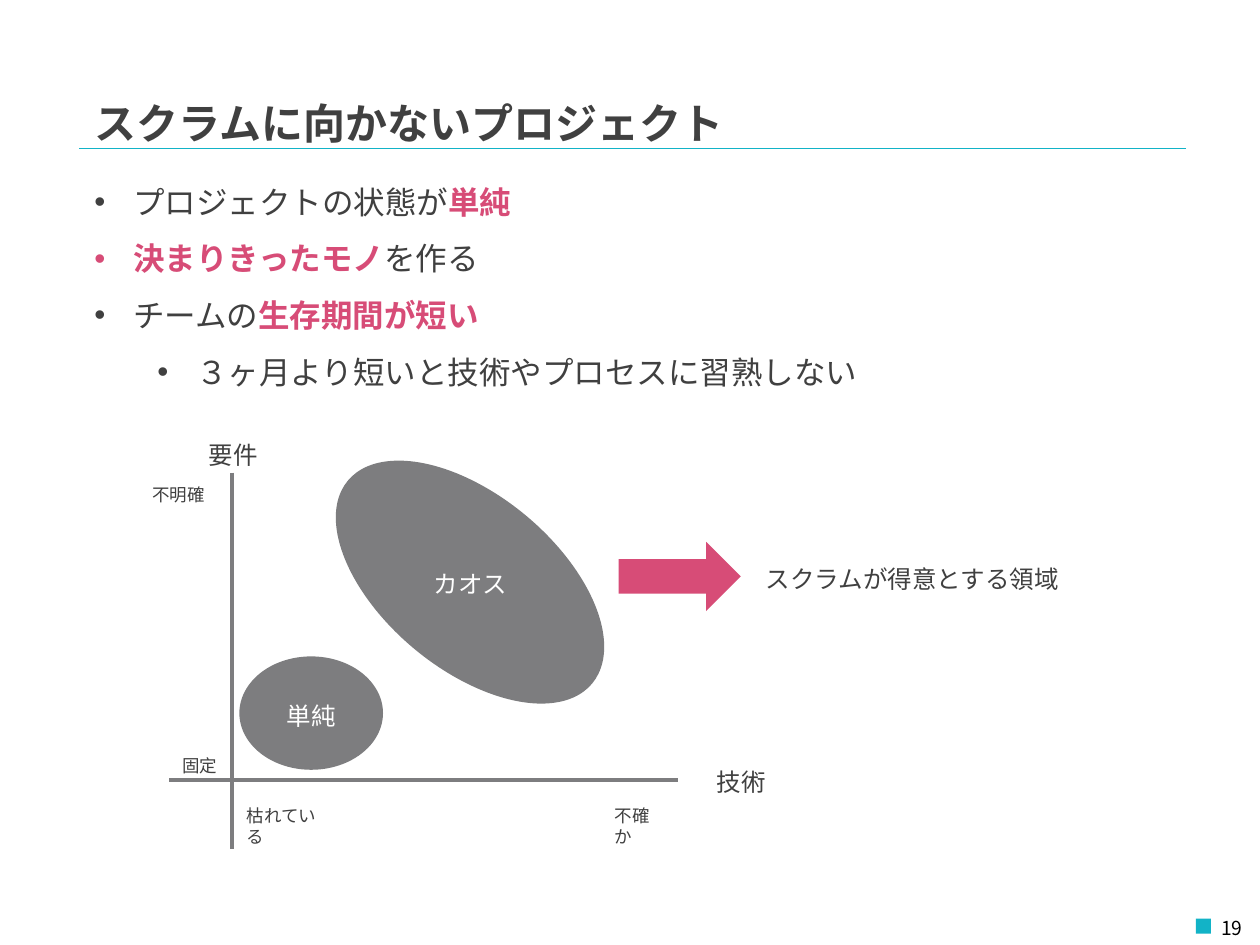
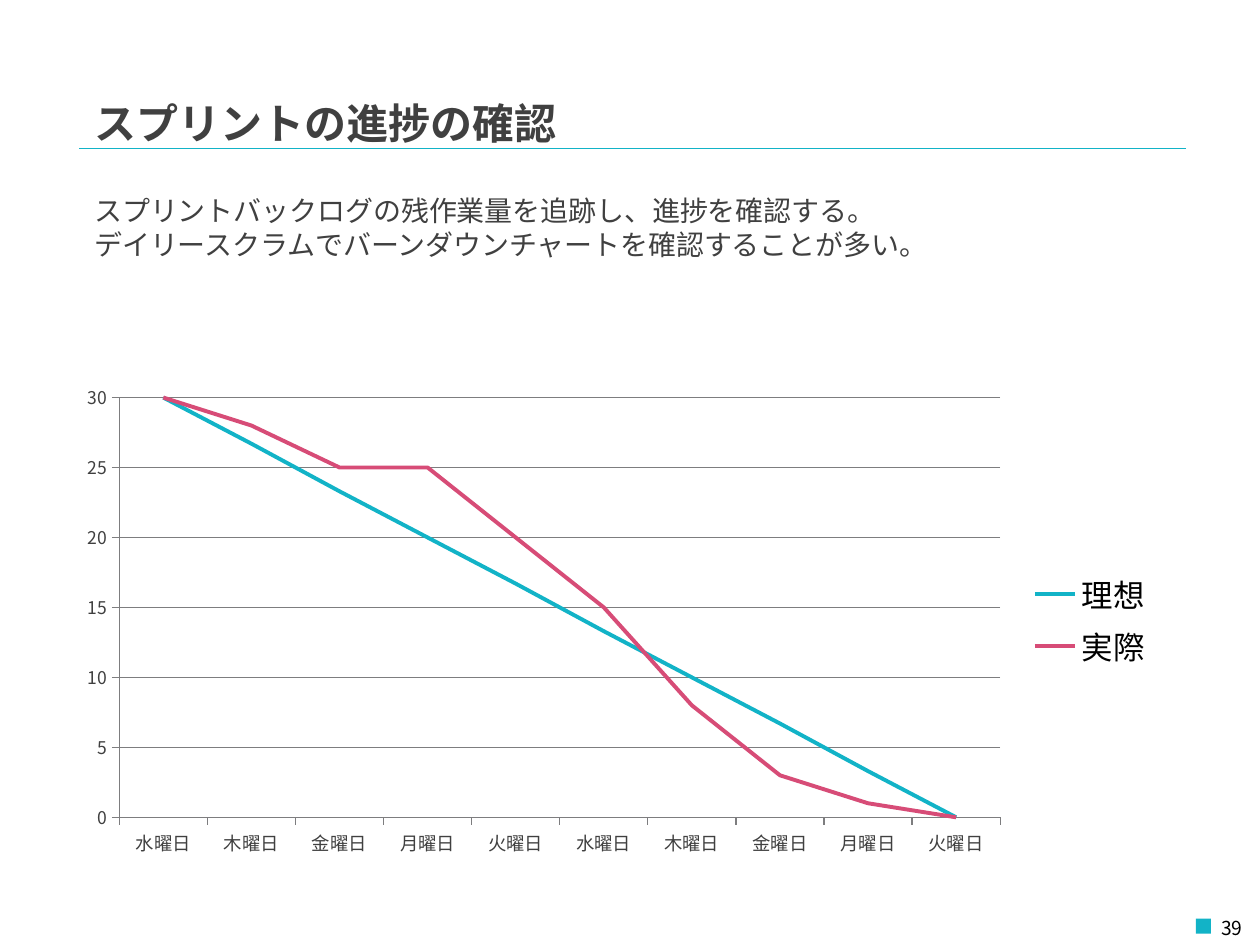
from dataclasses import dataclass
from lxml import etree
from pptx import Presentation
from pptx.chart.data import CategoryChartData as ChartData
from pptx.dml.color import RGBColor
from pptx.enum.chart import XL_CHART_TYPE as Kind, XL_LEGEND_POSITION as Side
from pptx.enum.chart import XL_TICK_MARK as Tick
from pptx.enum.shapes import MSO_CONNECTOR as Link, MSO_SHAPE as Form
from pptx.enum.text import MSO_ANCHOR as Anchor, PP_ALIGN as Align
from pptx.oxml.ns import qn
from pptx.util import Inches, Pt


@dataclass(frozen=True)
class Theme:
    teal: str = "12B3C7"
    pink: str = "D74C77"
    grey: str = "7D7D7F"
    ink: str = "404040"
    black: str = "000000"
    white: str = "FFFFFF"
    sans: str = "Noto Sans CJK JP"
    text: str = "Noto Sans CJK KR"
    title: float = 24
    body: float = 18
    lead: float = 16
    label: float = 14
    page: float = 11
    day: float = 10.5
    small: float = 10
    pitch: float = 1.2


def tone(code):
    return RGBColor.from_string(code)


def put(item, **values):
    for name, value in values.items():
        setattr(item, name, value)


class Deck:
    def __init__(self, theme):
        self.theme = theme
        self.file = Presentation()
        put(self.file, slide_width=Inches(10), slide_height=Inches(7.5))

    def start(self, title, page):
        t = self.theme
        self.slide = self.file.slides.add_slide(self.file.slide_layouts[6])
        self.shapes = self.slide.shapes
        self.line((0.63, 1.18), (9.41, 1.18), t.teal, 0.25)
        self.shape(Form.RECTANGLE, (9.49, 7.29, 0.12, 0.12), t.teal)
        self.text((8.57, 7.2, 1.39, 0.3), [page], t.page, t.black, t.sans,
                  align=Align.RIGHT)
        self.text((0.65, 0.7, 6.38, 0.39), [title], t.title, font=t.sans,
                  bold=True)

    def style(self, font, size, color, face, bold=False):
        put(font, size=Pt(size), name=face, bold=bold)
        font.color.rgb = tone(color)

    def run(self, para, words, size, color, face, bold):
        run = para.add_run()
        run.text = words
        self.style(run.font, size, color, face, bold)
        east = etree.SubElement(run.font._element, qn("a:ea"))
        east.set("typeface", face)

    def fill(self, frame, lines, size, color=None, font=None, align=Align.LEFT,
             bold=False, pitch=None, wrap=True, anchor=Anchor.TOP):
        t = self.theme
        put(frame, word_wrap=wrap, vertical_anchor=anchor,
            margin_left=Inches(0.1), margin_right=Inches(0.1),
            margin_top=Inches(0.07), margin_bottom=Inches(0.03))
        paras = []
        for row, line in enumerate(lines):
            para = frame.add_paragraph() if row else frame.paragraphs[0]
            put(para, alignment=align,
                line_spacing=Pt(size * (pitch or t.pitch)))
            parts = [(line, False)] if isinstance(line, str) else line
            for words, key in parts:
                self.run(para, words, size, t.pink if key else color or t.ink,
                         font or t.text, bold or key)
            paras.append(para)
        return paras

    def text(self, box, lines, size, color=None, font=None, **extra):
        frame = self.shapes.add_textbox(*map(Inches, box)).text_frame
        return self.fill(frame, lines, size, color, font, **extra)

    def list(self, box, items):
        t = self.theme
        paras = self.text(box, [parts for _, parts in items], t.body,
                          pitch=1.5 * t.pitch)
        for (level, _), para in zip(items, paras):
            props = para._p.get_or_add_pPr()
            props.set("marL", str(Inches(0.31 + 0.5 * level)))
            props.set("indent", str(Inches(-0.31)))
            etree.SubElement(props, qn("a:buFont")).set("typeface", "Arial")
            etree.SubElement(props, qn("a:buChar")).set("char", "•")

    def shape(self, form, box, color, turn=0, words=None):
        item = self.shapes.add_shape(form, *map(Inches, box))
        item.shadow.inherit = False
        item.rotation = turn
        item.fill.solid()
        item.fill.fore_color.rgb = tone(color)
        item.line.fill.background()
        if words:
            self.fill(item.text_frame, [words], self.theme.label,
                      self.theme.white, align=Align.CENTER,
                      anchor=Anchor.MIDDLE)

    def line(self, start, end, color, width):
        item = self.shapes.add_connector(Link.STRAIGHT,
                                         *map(Inches, start + end))
        item.line.color.rgb = tone(color)
        item.line.width = Pt(width)
        etree.SubElement(item._element.spPr, qn("a:effectLst"))

    def chart(self, box, days, series, top, step):
        t = self.theme
        data = ChartData()
        data.categories = days
        for name, _, values in series:
            data.add_series(name, values)
        chart = self.shapes.add_chart(Kind.LINE, *map(Inches, box), data).chart
        put(chart, has_title=False, has_legend=True)
        self.style(chart.font, t.body, t.black, t.text)
        put(chart.legend, position=Side.RIGHT, include_in_layout=False)
        plot = chart.plots[0]
        plot.vary_by_categories = False
        for (_, color, _), curve in zip(series, plot.series):
            curve.smooth = False
            curve.format.line.color.rgb = tone(color)
            curve.format.line.width = Pt(2.25)
        base, scale = chart.category_axis, chart.value_axis
        put(scale, minimum_scale=0, maximum_scale=top, major_unit=step,
            has_major_gridlines=True)
        for axis, size in ((base, t.day), (scale, t.small)):
            put(axis, major_tick_mark=Tick.OUTSIDE, minor_tick_mark=Tick.NONE)
            self.style(axis.tick_labels.font, size, t.ink, t.text)
        for part in (base, scale, scale.major_gridlines):
            part.format.line.color.rgb = tone(t.grey)
            part.format.line.width = Pt(0.75)
        self.place(chart, x=0.05, y=0.05, w=0.8, h=0.85)

    def place(self, chart, **spots):
        area = chart._chartSpace.chart.plotArea
        for old in area.findall(qn("c:layout")):
            area.remove(old)
        frame = etree.Element(qn("c:layout"))
        area.insert(0, frame)
        layout = etree.SubElement(frame, qn("c:manualLayout"))
        rules = {"layoutTarget": "inner", "xMode": "edge", "yMode": "edge"}
        for name, value in {**rules, **spots}.items():
            etree.SubElement(layout, qn("c:" + name)).set("val", str(value))


def draw_fit(deck):
    t = deck.theme
    deck.start("スクラムに向かないプロジェクト", "19")
    deck.list((0.65, 1.23, 8.58, 1.92), [
        (0, [("プロジェクトの状態が", False), ("単純", True)]),
        (0, [("決まりきったモノ", True), ("を作る", False)]),
        (0, [("チームの", False), ("生存期間が短い", True)]),
        (1, [("３ヶ月より短いと技術やプロセスに習熟しない", False)]),
    ])
    deck.line((1.84, 3.75), (1.84, 6.74), t.grey, 2)
    deck.line((5.38, 6.19), (1.34, 6.19), t.grey, 2)
    for words, left, top in (("要件", 1.56, 3.42), ("技術", 5.59, 6.02)):
        deck.text((left, top, 0.59, 0.34), [words], t.label, wrap=False)
    for words, left, top, width, wrap in (
            ("不明確", 1.11, 3.77, 0.62, False),
            ("枯れている", 1.86, 6.32, 0.8, True),
            ("固定", 1.35, 5.92, 0.48, False),
            ("不確か", 4.78, 6.32, 0.6, True)):
        deck.text((left, top, width, 0.27), [words], t.small, wrap=wrap)
    deck.shape(Form.OVAL, (1.9, 5.21, 1.14, 0.9), t.grey, words="単純")
    deck.shape(Form.OVAL, (2.47, 3.93, 2.52, 1.38), t.grey, turn=39.7)
    deck.shape(Form.RIGHT_ARROW, (4.91, 4.3, 0.97, 0.55), t.pink)
    deck.text((3.32, 4.45, 0.83, 0.34), ["カオス"], t.label, t.white,
              align=Align.CENTER)
    deck.text((5.98, 4.41, 2.72, 0.34), ["スクラムが得意とする領域"], t.label)


def draw_burn(deck):
    t = deck.theme
    deck.start("スプリントの進捗の確認", "39")
    week = ["水曜日", "木曜日", "金曜日", "月曜日", "火曜日"]
    ideal = [round(30 - 30 * day / 9, 1) for day in range(10)]
    real = [30, 28, 25, 25, 20, 15, 8, 3, 1, 0]
    deck.chart((0.51, 2.96, 8.74, 3.92), week * 2,
               [("理想", t.teal, ideal), ("実際", t.pink, real)], 30, 5)
    deck.text((0.65, 1.47, 8.58, 0.64), [
        "スプリントバックログの残作業量を追跡し、進捗を確認する。",
        "デイリースクラムでバーンダウンチャートを確認することが多い。",
    ], t.lead, font=t.sans)


def main():
    deck = Deck(Theme())
    draw_fit(deck)
    draw_burn(deck)
    deck.file.save("out.pptx")


if __name__ == "__main__":
    main()
